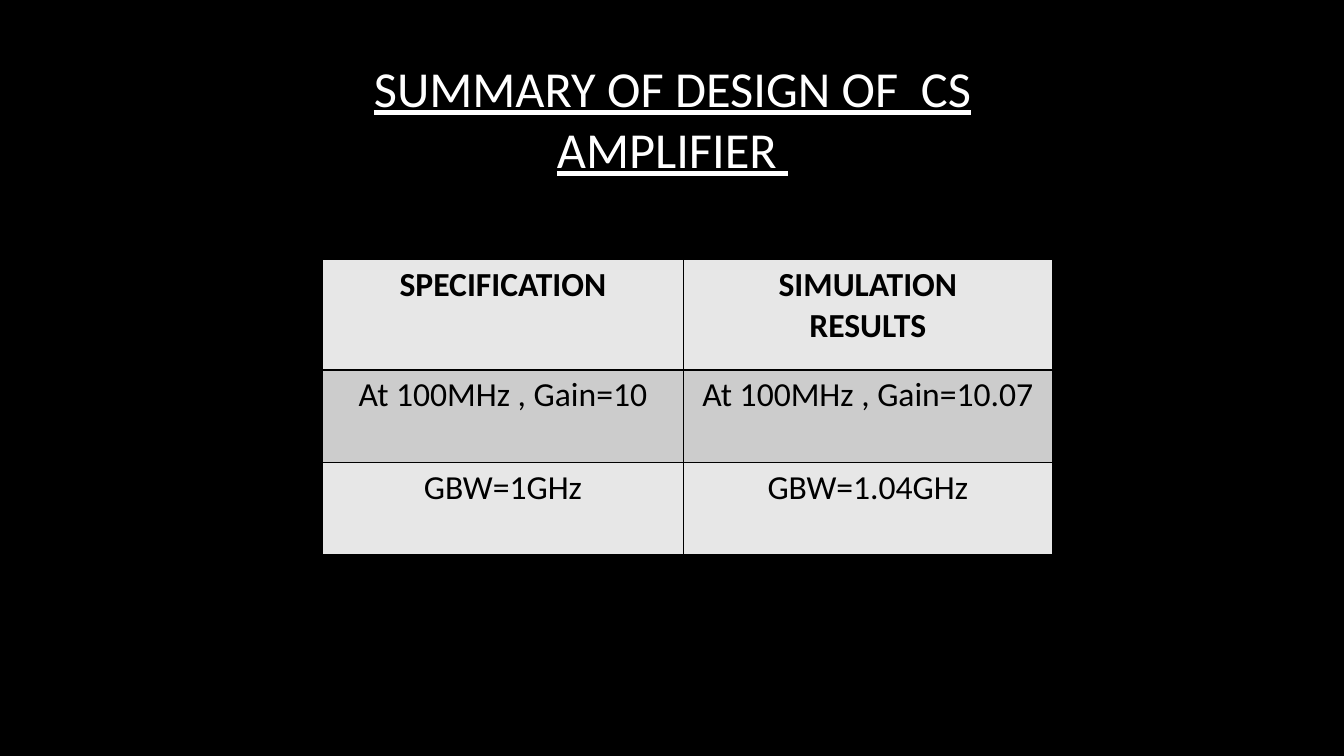
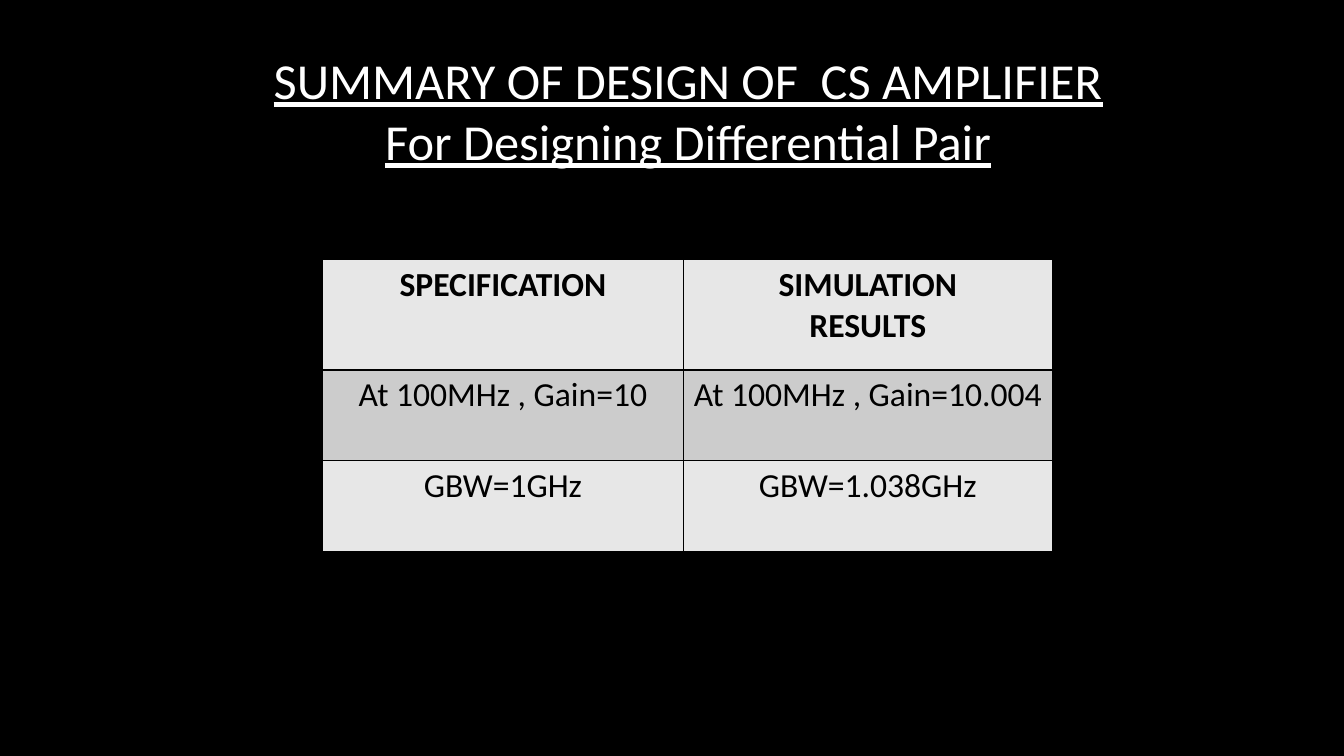
from lxml import etree
from pptx import Presentation
from pptx.dml.color import RGBColor
from pptx.enum.text import MSO_ANCHOR, PP_ALIGN
from pptx.oxml.ns import qn
from pptx.util import Inches, Pt

BLACK = RGBColor(0x00, 0x00, 0x00)
WHITE = RGBColor(0xFF, 0xFF, 0xFF)
LIGHT_BAND = RGBColor(0xE7, 0xE7, 0xE7)
DARK_BAND = RGBColor(0xCC, 0xCC, 0xCC)

TITLE_FONT = {"name": "Calibri", "size": Pt(36), "underline": True}
CELL_FONT = {"name": "Calibri", "size": Pt(24)}

prs = Presentation()
prs.slide_width, prs.slide_height = Inches(13.33), Inches(7.5)

# One percent of the slide's width and height
X, Y = prs.slide_width / 100, prs.slide_height / 100

COLUMN_WIDTHS = (26.85, 27.45)
HEADER_HEIGHT = 14.67
HEADINGS = ("SPECIFICATION", "SIMULATION\nRESULTS")
TARGETS = ("At 100MHz , Gain=10", "GBW=1GHz")

# Per slide: title, its left, top and width, body row height, results
SUMMARIES = [
    ("SUMMARY OF DESIGN OF  CS AMPLIFIER ",
     (25, 6.93, 50.1), 12.2, ("At 100MHz , Gain=10.07", "GBW=1.04GHz")),
    ("SUMMARY OF DESIGN OF  CS AMPLIFIER For Designing Differential Pair",
     (17.7, 5.87, 67), 12, ("At 100MHz , Gain=10.004", "GBW=1.038GHz")),
]


def write(frame, text, color, font_format, **extra):
    frame.text = text
    for paragraph in frame.paragraphs:
        paragraph.alignment = PP_ALIGN.CENTER
        for run in paragraph.runs:
            run.font.color.rgb = color
            for key, value in {**font_format, **extra}.items():
                setattr(run.font, key, value)


def add_borders(cell):
    properties = cell._tc.get_or_add_tcPr()
    for position, side in enumerate(("lnL", "lnR", "lnT", "lnB")):
        line = etree.Element(qn(f"a:{side}"), w=str(Pt(1)))
        fill = etree.SubElement(line, qn("a:solidFill"))
        etree.SubElement(fill, qn("a:srgbClr"), val=str(BLACK))
        properties.insert(position, line)


# Shared black background
background = prs.slide_master.background.fill
background.solid()
background.fore_color.rgb = BLACK

for title, (left, top, width), body_height, results in SUMMARIES:
    slide = prs.slides.add_slide(prs.slide_layouts[6])

    # Comparison table: headings, then one row per target
    rows = [HEADINGS, *zip(TARGETS, results)]
    row_heights = [HEADER_HEIGHT] + [body_height] * len(TARGETS)
    comparison = slide.shapes.add_table(
        len(rows), len(HEADINGS), int(24 * X), int(34.27 * Y),
        int(sum(COLUMN_WIDTHS) * X), int(sum(row_heights) * Y)).table
    for column, share in zip(comparison.columns, COLUMN_WIDTHS):
        column.width = int(share * X)
    for r, (texts, share) in enumerate(zip(rows, row_heights)):
        comparison.rows[r].height = int(share * Y)
        for c, text in enumerate(texts):
            cell = comparison.cell(r, c)
            cell.margin_left = cell.margin_right = Inches(0.08)
            cell.vertical_anchor = MSO_ANCHOR.TOP
            cell.fill.solid()
            cell.fill.fore_color.rgb = DARK_BAND if r % 2 else LIGHT_BAND
            write(cell.text_frame, text, BLACK, CELL_FONT, bold=r == 0)
            add_borders(cell)

    # Underlined title
    heading = slide.shapes.add_textbox(
        int(left * X), int(top * Y), int(width * X), int(17.47 * Y)).text_frame
    heading.word_wrap = True
    write(heading, title, WHITE, TITLE_FONT)

prs.save("out.pptx")
